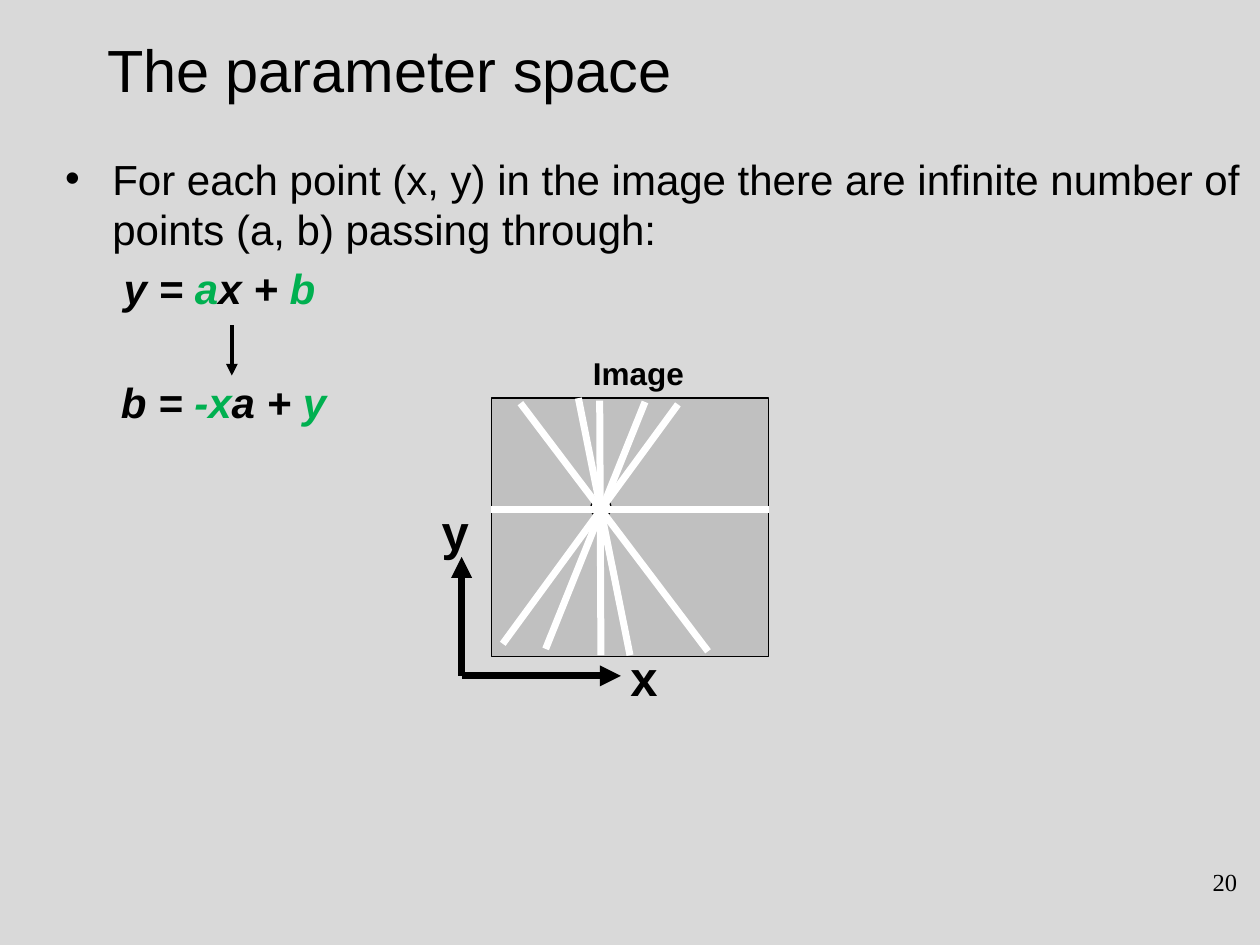
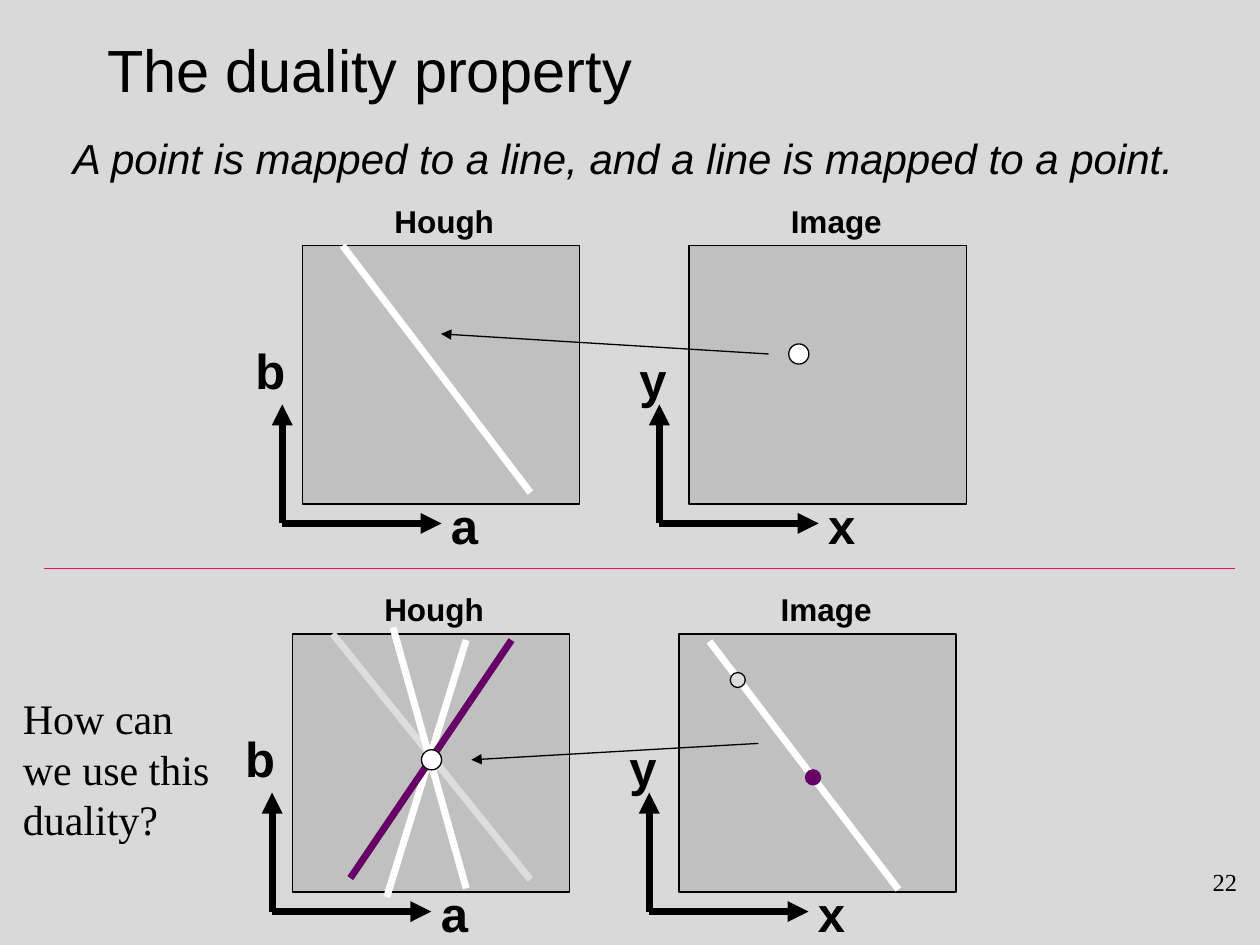
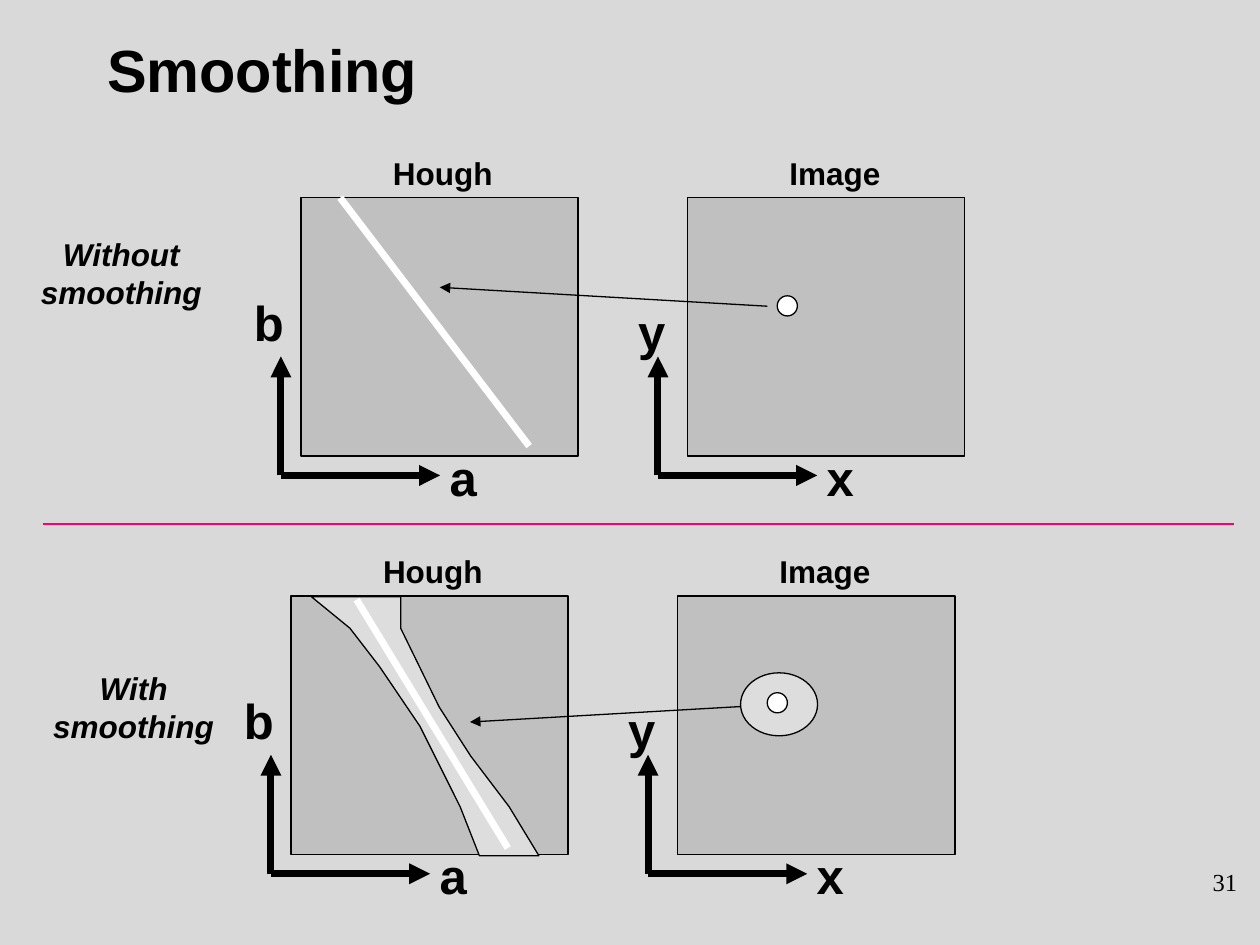
from pptx import Presentation
from pptx.dml.color import RGBColor
from pptx.enum import shapes, text
from pptx.oxml.ns import qn
from pptx.util import Pt

BLACK = RGBColor(0, 0, 0)
WHITE = RGBColor(255, 255, 255)
BACK = RGBColor(0xD9, 0xD9, 0xD9)
GREY = RGBColor(0xC0, 0xC0, 0xC0)
PALE = RGBColor(0xDD, 0xDD, 0xDD)
GREEN = RGBColor(0, 0xB0, 0x50)
PINK = RGBColor(0xFF, 0, 0x66)
PLUM = RGBColor(0x66, 0, 0x66)
SANS, SERIF = "Arial", "Times New Roman"
LEFT, MID, RIGHT = text.PP_ALIGN.LEFT, text.PP_ALIGN.CENTER, text.PP_ALIGN.RIGHT


def put(shape, box, paras, size, bold=False, italic=False, face=SANS,
        align=LEFT, right=7.2):
    """Place a text shape and fill it; a paragraph is a list of (text, colour)."""
    shape.left, shape.top, shape.width, shape.height = map(Pt, box)
    frame = shape.text_frame
    frame.word_wrap = True
    frame.auto_size = text.MSO_AUTO_SIZE.NONE
    frame.margin_left, frame.margin_right = Pt(7.2), Pt(right)
    frame.margin_top = frame.margin_bottom = Pt(3.6)
    for i, runs in enumerate(paras):
        para = frame.add_paragraph() if i else frame.paragraphs[0]
        para.alignment = align
        para.space_before = Pt(0)
        for words, color in runs:
            run = para.add_run()
            run.text = words
            font = run.font
            font.name, font.size, font.color.rgb = face, Pt(size), color
            font.bold, font.italic = bold, italic
    return frame


def line(slide, ends, color=WHITE, width=4, arrow=False):
    link = slide.shapes.add_connector(shapes.MSO_CONNECTOR.STRAIGHT, *map(Pt, ends))
    link.line.color.rgb = color
    link.line.width = Pt(width)
    props = link._element.spPr
    if arrow:
        tip = link.line._get_or_add_ln()
        tip.append(tip.makeelement(qn("a:tailEnd"), {"type": "triangle"}))
    props.append(props.makeelement(qn("a:effectLst"), {}))


deck = Presentation()
deck.slide_width, deck.slide_height = Pt(720), Pt(540)
fill = deck.slide_master.background.fill
fill.solid()
fill.fore_color.rgb = BACK

# Slides with title and number
pages = []
for name, num, kind, bold in [("The parameter space", "20", 1, False),
                              ("The duality property", "22", 1, False),
                              ("Smoothing", "31", 5, True)]:
    page = deck.slides.add_slide(deck.slide_layouts[kind])
    frame = put(page.shapes.title, (54, 6, 612, 66), [[(name, BLACK)]], 34, bold)
    frame.vertical_anchor = text.MSO_ANCHOR.MIDDLE
    put(page.shapes.add_textbox(0, 0, 0, 0), (564, 492, 150, 36),
        [[(num, BLACK)]], 14, face=SERIF, align=RIGHT)
    pages.append(page)
space, dual, smooth = pages

# Body text: paragraphs with margin and first-line indent
frame = put(space.placeholders[1], (30, 84, 720, 110), [
    [("For each point (x, y) in the image there are infinite number of "
      "points (a, b) passing through:", BLACK)],
    [("y = ", BLACK), ("a", GREEN), ("x + ", BLACK), ("b", GREEN)]], 24)
rule = frame.paragraphs[1]
rule.space_before = Pt(4.8)
for run in rule.runs:
    run.font.bold = run.font.italic = True
motto = put(dual.placeholders[1], (34.5, 72, 648, 40), [
    [("A point is mapped to a line, and a line is mapped to a point.", BLACK)]],
    24, italic=True)
for para, left, first in [(frame.paragraphs[0], 27, -27), (rule, 33.5, 0),
                          (motto.paragraphs[0], 0, 0)]:
    props = para._p.get_or_add_pPr()
    props.set("marL", str(Pt(left)))
    props.set("indent", str(Pt(first)))
    if not first:
        props.append(props.makeelement(qn("a:buNone"), {}))

# Plots: grey field, caption and two named axes
GAP = 221
plots = [(space, "Image", 280.8, 227.5)]
for page, x, y in [(dual, 172.8, 140.4), (dual, 167, 362.2),
                   (smooth, 172, 113), (smooth, 166.3, 340.6)]:
    plots += [(page, "Hough", x, y), (page, "Image", x + GAP, y)]
looks = {"Hough": ("a", "b", 45.5, -11.5, -22.5, -108),
         "Image": ("x", "y", 51, -17, -18.5, -103)}
for page, name, x, y in plots:
    across, up, cap, shift, side, rise = looks[name]
    field = page.shapes.add_shape(shapes.MSO_SHAPE.RECTANGLE,
                                  Pt(x), Pt(y), Pt(158.4), Pt(147.6))
    field.shadow.inherit = False
    field.fill.solid()
    field.fill.fore_color.rgb = GREY
    field.line.color.rgb = BLACK
    field.line.width = Pt(0.75)
    left, base = x + shift, y + 158.7
    line(page, (left, base, left + 91, base), BLACK, arrow=True)
    line(page, (left, base, left, base - 68), BLACK, arrow=True)
    for word, size, at, top, wide, high in [
            (name, 18, x + cap, y - 28.8, 72, 29),
            (across, 28, left + 89.3, base - 19.5, 32, 41),
            (up, 28, left + side, base + rise, 32, 41)]:
        put(page.shapes.add_textbox(0, 0, 0, 0), (at, top, wide, high),
            [[(word, BLACK)]], size, bold=True, right=0)

# Dividers and mapping arrows
line(dual, (25.2, 324.7, 705.6, 324.7), PINK, 0.75)
line(smooth, (24.5, 299.5, 704.9, 299.5), PINK, 0.75)
line(space, (132.5, 185.8, 132.5, 214.6), BLACK, 2.25, True)
for page, ends in [(dual, (439.2, 202.3, 252, 190.8)),
                   (dual, (433.4, 424.8, 269.3, 434.2)),
                   (smooth, (438.5, 175, 251.3, 164.2))]:
    line(page, ends, BLACK, 0.75, True)

# Smoothed band in the lower Hough plot
spots = [(177.8, 341.3), (200.2, 358.6), (217.4, 380.9), (240.5, 415.4),
         (262.8, 460.8), (274.3, 488.9), (308.2, 488.9), (290.9, 460.8),
         (268.6, 432), (251.3, 403.9), (229, 358.6), (229, 341.3)]
pen = smooth.shapes.build_freeform(*spots[0], scale=Pt(1))
pen.add_line_segments(spots[1:], close=True)
band = pen.convert_to_shape()
band.shadow.inherit = False
band.fill.solid()
band.fill.fore_color.rgb = PALE
band.line.color.rgb = BLACK
band.line.width = Pt(0.75)
line(smooth, (432.7, 403.2, 268.6, 412.6), BLACK, 0.75, True)

# Dots: centre, width, height
dots = [(space, 343.4, 290.2, 11.5, 11.5, WHITE, BLACK),
        (dual, 456.5, 202.3, 11.5, 11.5, WHITE, BLACK),
        (dual, 246.6, 434.2, 11.5, 11.5, WHITE, BLACK),
        (dual, 421.6, 388.6, 8.6, 8.6, PALE, BLACK),
        (dual, 464.6, 444.2, 8.6, 8.6, PLUM, PLUM),
        (smooth, 449.9, 174.8, 11.5, 11.5, WHITE, BLACK),
        (smooth, 445.2, 402.5, 44, 36, PALE, BLACK),
        (smooth, 444.2, 401.6, 11.5, 11.5, WHITE, BLACK)]

# Lines in the plots, below the dots except on the first slide
rays = [(dual, (195.8, 140.4, 303.1, 281.5), WHITE),
        (dual, (190.1, 362.2, 303.1, 502.6), PALE),
        (dual, (405.4, 366.5, 513.4, 508.3), WHITE),
        (dual, (224.6, 358.6, 266.4, 507.6), WHITE),
        (dual, (266.4, 365.8, 221, 512.6), WHITE),
        (dual, (292.3, 365.8, 200.2, 501.8), PLUM),
        (smooth, (194.4, 113, 302.4, 254.9), WHITE),
        (smooth, (203.8, 342.7, 290.2, 484.6), WHITE)]
for page, ends, color in rays:
    line(page, ends, color)
for page, x, y, wide, high, color, edge in dots:
    dot = page.shapes.add_shape(shapes.MSO_SHAPE.OVAL, Pt(x - wide / 2),
                                Pt(y - high / 2), Pt(wide), Pt(high))
    dot.shadow.inherit = False
    dot.fill.solid()
    dot.fill.fore_color.rgb = color
    dot.line.color.rgb = edge
    dot.line.width = Pt(0.75)
for ends in [(297.4, 230.4, 404.6, 372.2), (330.5, 227.5, 360, 374.4),
             (342.7, 229, 343.4, 374.4), (368.6, 229.7, 311.8, 370.8),
             (287.3, 367.9, 387.4, 231.1), (280.8, 290.9, 439.2, 290.9)]:
    line(space, ends)

# Free text
put(space.shapes.add_textbox(0, 0, 0, 0), (62, 211.7, 219, 36),
    [[("b = ", BLACK), ("-x", GREEN), ("a + ", BLACK), ("y", GREEN)]],
    24, bold=True, italic=True)
put(dual.shapes.add_textbox(0, 0, 0, 0), (6, 392.4, 122.4, 94.3),
    [[(row, BLACK)] for row in ("How can", "we use this", "duality?")],
    24, face=SERIF)
for words, x, y in [("Without smoothing", 6, 131), ("With smoothing", 13, 378.7)]:
    put(smooth.shapes.add_textbox(0, 0, 0, 0), (x, y, 126.7, 50.4),
        [[(words, BLACK)]], 18, bold=True, italic=True, align=MID)

deck.save("out.pptx")
